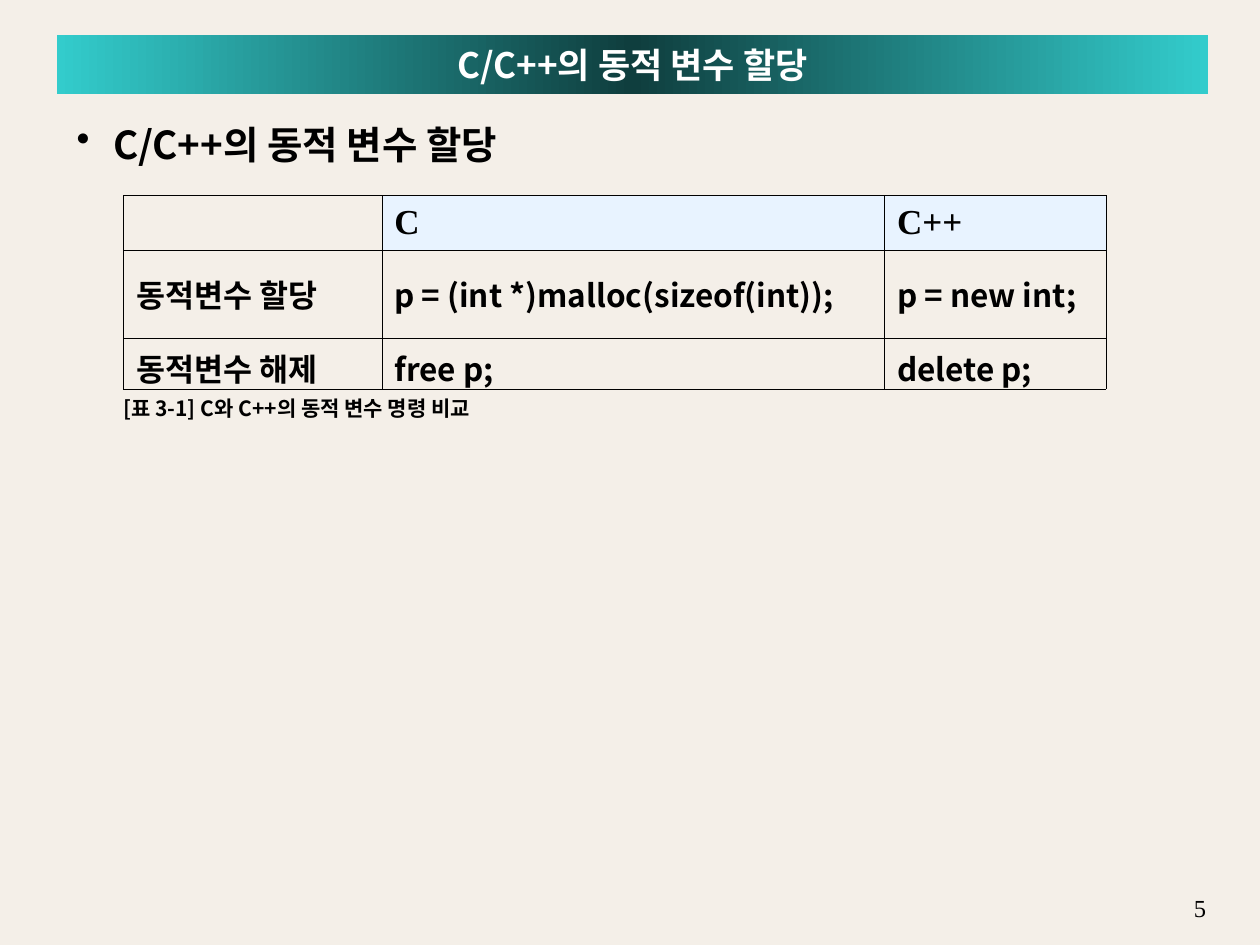
import copy

import lxml.etree
import pptx
import pptx.dml.color
import pptx.enum.shapes
import pptx.enum.text
import pptx.oxml.ns
import pptx.util
from pptx.util import Inches

COLORS = {
    "background": "F4EFE8",
    "black": "000000",
    "white": "FFFFFF",
    "teal": "33CCCC",
    "dark_teal": "0F3E3E",
    "header": "E8F3FF",
}
KOREAN_FONT = "Noto Sans CJK KR"
LATIN_FONT = "Times New Roman"
HEADING = "C/C++의 동적 변수 할당"
qn = pptx.oxml.ns.qn


def rgb(name):
    return pptx.dml.color.RGBColor.from_string(COLORS[name])


def write(text_frame, text, size, font_name=KOREAN_FONT, color="black", bold=True):
    text_frame.text = text
    paragraph = text_frame.paragraphs[0]
    for run in paragraph.runs:
        run.font.size = pptx.util.Pt(size)
        run.font.bold = bold
        run.font.name = font_name
        run.font.color.rgb = rgb(color)
        east_asian = lxml.etree.SubElement(run.font._element, qn("a:ea"))
        east_asian.set("typeface", font_name)
    return paragraph


presentation = pptx.Presentation()
presentation.slide_width = Inches(10)
presentation.slide_height = Inches(7.5)
slide = presentation.slides.add_slide(presentation.slide_layouts[6])
slide.background.fill.solid()
slide.background.fill.fore_color.rgb = rgb("background")

page_number = slide.shapes.add_textbox(Inches(9.25), Inches(7.04), Inches(0.42), Inches(0.17))
page_number.text_frame.word_wrap = True
paragraph = write(page_number.text_frame, "5", 14, LATIN_FONT, bold=False)
paragraph.alignment = pptx.enum.text.PP_ALIGN.RIGHT

body = slide.shapes.add_textbox(Inches(0.51), Inches(0.91), Inches(9.06), Inches(6.14))
body.text_frame.word_wrap = True
paragraph = write(body.text_frame, HEADING, 22)
properties = paragraph._p.get_or_add_pPr()
properties.set("marL", str(Inches(0.29)))
properties.set("indent", str(Inches(-0.29)))
bullet_color = lxml.etree.SubElement(properties, qn("a:buClr"))
lxml.etree.SubElement(bullet_color, qn("a:srgbClr")).set("val", COLORS["black"])
lxml.etree.SubElement(properties, qn("a:buChar")).set("char", "•")

title = slide.shapes.add_shape(
    pptx.enum.shapes.MSO_SHAPE.RECTANGLE, Inches(0.45), Inches(0.28), Inches(9.14), Inches(0.47)
)
title.shadow.inherit = False
title.line.fill.background()
title.fill.gradient()
title.fill.gradient_angle = 0
stop_list = title.fill._fill._gradFill.find(qn("a:gsLst"))
stop_list.insert(1, copy.deepcopy(stop_list[0]))
for stop, position, color in zip(
    title.fill.gradient_stops, (0, 0.5, 1), ("teal", "dark_teal", "teal")
):
    stop.position = position
    stop.color.rgb = rgb(color)
title.text_frame.word_wrap = True
title.text_frame.vertical_anchor = pptx.enum.text.MSO_ANCHOR.MIDDLE
paragraph = write(title.text_frame, HEADING, 20, color="white")
paragraph.alignment = pptx.enum.text.PP_ALIGN.CENTER

rows = [
    ["", "C", "C++"],
    ["동적변수 할당", "p = (int *)malloc(sizeof(int));", "p = new int;"],
    ["동적변수 해제", "free p;", "delete p;"],
]
table = slide.shapes.add_table(
    3, 3, Inches(0.98), Inches(1.55), Inches(7.8), Inches(1.53)
).table
table.first_row = False
table.horz_banding = False
for column, width in zip(table.columns, (2.05, 3.99, 1.76)):
    column.width = Inches(width)
for row, height in zip(table.rows, (0.43, 0.7, 0.4)):
    row.height = Inches(height)
for row_index, texts in enumerate(rows):
    for column_index, text in enumerate(texts):
        cell = table.cell(row_index, column_index)
        cell.vertical_anchor = pptx.enum.text.MSO_ANCHOR.MIDDLE
        size, font_name = (18, KOREAN_FONT) if row_index else (20, LATIN_FONT)
        write(cell.text_frame, text, size, font_name)
        cell_properties = cell._tc.get_or_add_tcPr()
        for side in ("a:lnL", "a:lnR", "a:lnT", "a:lnB"):
            border = lxml.etree.SubElement(cell_properties, qn(side))
            border.set("w", str(pptx.util.Pt(0.06)))
            border_fill = lxml.etree.SubElement(border, qn("a:solidFill"))
            lxml.etree.SubElement(border_fill, qn("a:srgbClr")).set("val", COLORS["black"])
        if row_index == 0 and text:
            cell.fill.solid()
            cell.fill.fore_color.rgb = rgb("header")
        else:
            cell.fill.background()

caption = slide.shapes.add_textbox(Inches(0.98), Inches(3.09), Inches(4.02), Inches(0.34))
caption.text_frame.word_wrap = True
caption.text_frame.margin_left = 0
write(caption.text_frame, "[표 3-1] C와 C++의 동적 변수 명령 비교", 12)

presentation.save("out.pptx")
